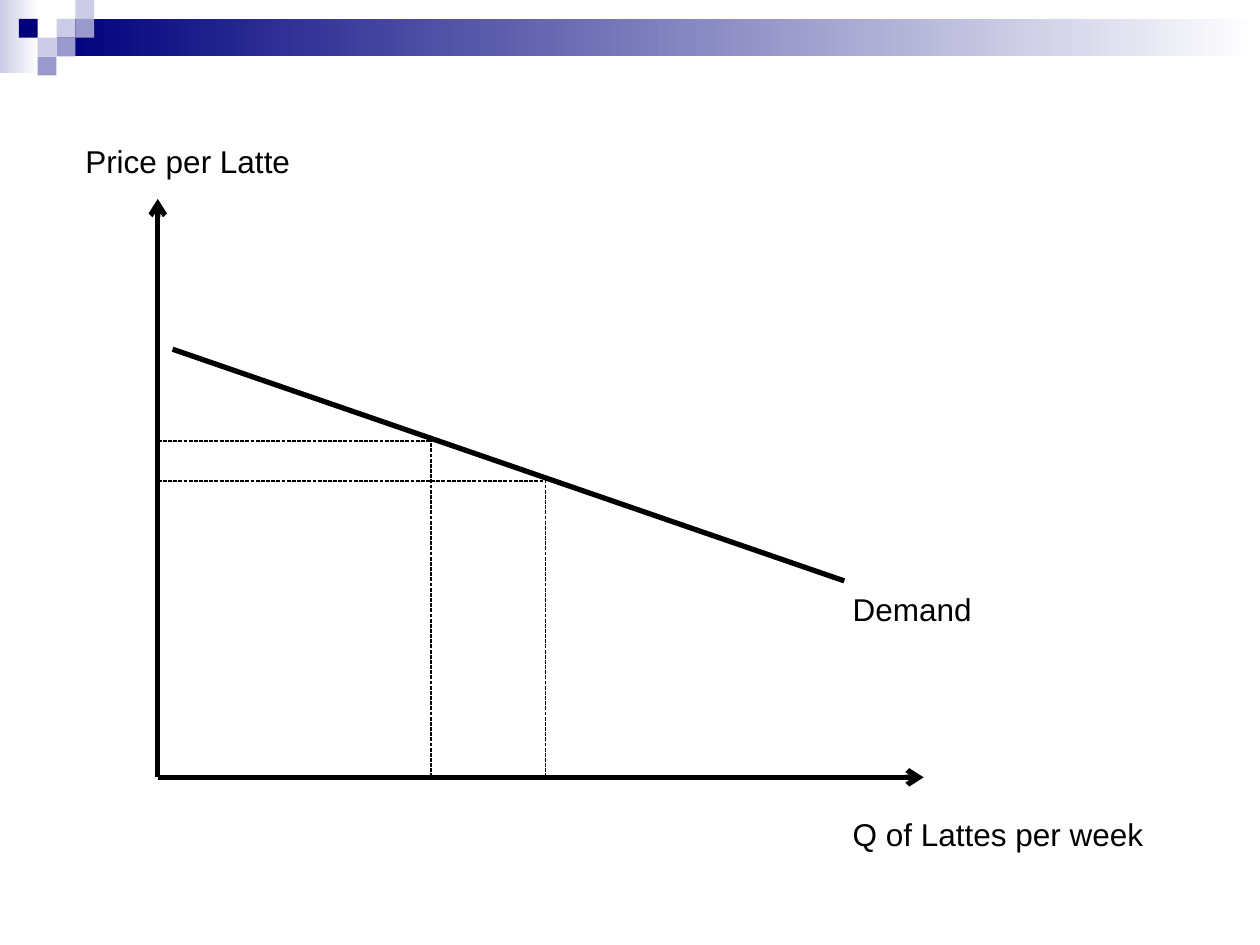
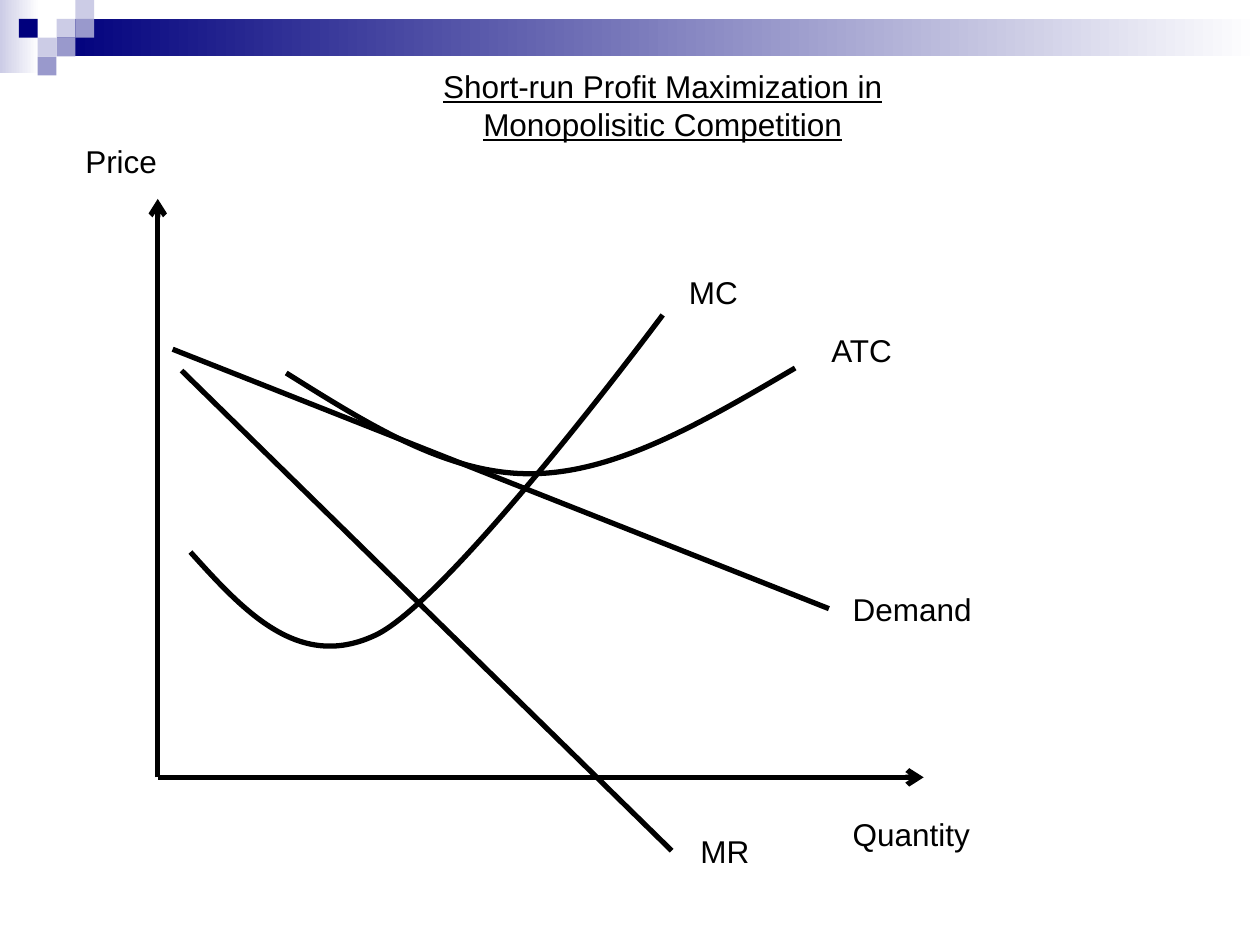
from lxml import etree
from pptx import Presentation
from pptx.dml.color import RGBColor
from pptx.enum.dml import MSO_LINE
from pptx.enum.shapes import MSO_CONNECTOR, MSO_SHAPE
from pptx.enum.text import MSO_ANCHOR, MSO_AUTO_SIZE, PP_ALIGN
from pptx.oxml.ns import qn
from pptx.util import Cm, Pt

RECTANGLE = MSO_SHAPE.RECTANGLE
STRAIGHT = MSO_CONNECTOR.STRAIGHT
SHORT_DASH = MSO_LINE.SQUARE_DOT
FIT_SHAPE, NO_FIT = MSO_AUTO_SIZE.SHAPE_TO_FIT_TEXT, MSO_AUTO_SIZE.NONE
TOP, CENTER = MSO_ANCHOR.TOP, PP_ALIGN.CENTER

COLORS = {
    "ink": "000000",
    "navy": "00007D",
    "periwinkle": "9999CC",
    "lavender": "CCCCE6",
    "paper": "FFFFFF",
}
RGB = {role: RGBColor.from_string(value) for role, value in COLORS.items()}
FONT, TEXT_SIZE = "Arial", Pt(18)
CURVE_WIDTH, GUIDE_WIDTH = 3, 0.75
TILE = 0.38
LABEL_HEIGHT = 1.02
ORIGIN_X, ORIGIN_Y = 3.18, 15.67
PRICE_AXIS_TOP, QUANTITY_AXIS_END = 4.01, 18.62


def add_line(slide, start, end, width=CURVE_WIDTH, dash=None, arrow=False):
    connector = slide.shapes.add_connector(
        STRAIGHT, *[Cm(value) for value in (*start, *end)])
    connector.line.color.rgb = RGB["ink"]
    connector.line.width = Pt(width)
    if dash:
        connector.line.dash_style = dash
    if arrow:
        etree.SubElement(connector.line._get_or_add_ln(), qn("a:tailEnd"), type="arrow")
    etree.SubElement(connector.element.spPr, qn("a:effectLst"))


def add_label(slide, text, left, top, width):
    label = slide.shapes.add_textbox(Cm(left), Cm(top), Cm(width), Cm(LABEL_HEIGHT))
    frame = label.text_frame
    frame.text = text
    frame.word_wrap = False
    frame.auto_size = FIT_SHAPE
    font = frame.paragraphs[0].runs[0].font
    font.name, font.size, font.color.rgb = FONT, TEXT_SIZE, RGB["ink"]


prs = Presentation()
prs.slide_width, prs.slide_height = Cm(25.4), Cm(19.05)
latte_slide = prs.slides.add_slide(prs.slide_layouts.get_by_name("Blank"))
profit_slide = prs.slides.add_slide(prs.slide_layouts.get_by_name("Title Only"))

band_parts = [
    (0, 0, 0.79, 1.47, "lavender", "paper"),
    (3 * TILE, TILE, 25.4 - 3 * TILE, 2 * TILE, "navy", "paper"),
]
for column, row, color in [
    (3, 1, "lavender"), (4, 0, "lavender"), (4, 1, "periwinkle"), (2, 2, "lavender"),
    (1, 1, "navy"), (3, 2, "periwinkle"), (2, 3, "periwinkle"),
]:
    band_parts.append((column * TILE, row * TILE, TILE, TILE, color, None))

master_tree = prs.slide_master.shapes.element
for order, (left, top, width, height, color, fade) in enumerate(band_parts):
    part = latte_slide.shapes.add_shape(
        RECTANGLE, Cm(left), Cm(top), Cm(width), Cm(height))
    part.shadow.inherit = False
    part.line.fill.background()
    if fade:
        part.fill.gradient()
        part.fill.gradient_angle = 0
        for stop, position, role in zip(part.fill.gradient_stops, (0, 1), (color, fade)):
            stop.position = position
            stop.color.rgb = RGB[role]
    else:
        part.fill.solid()
        part.fill.fore_color.rgb = RGB[color]
    part.element.nvSpPr.cNvPr.set("id", str(100 + order))
    master_tree.insert(2 + order, part.element)

for slide, demand_end, price_label, quantity_label in [
    (latte_slide, (17.02, 11.71), ("Price per Latte", 4.67), ("Q of Lattes per week", 6.43)),
    (profit_slide, (16.71, 12.27), ("Price", 1.98), ("Quantity", 2.9)),
]:
    origin = (ORIGIN_X, ORIGIN_Y)
    add_line(slide, origin, (ORIGIN_X, PRICE_AXIS_TOP), arrow=True)
    add_line(slide, origin, (QUANTITY_AXIS_END, ORIGIN_Y), arrow=True)
    add_line(slide, (3.48, 7.04), demand_end)
    add_label(slide, price_label[0], 1.47, 2.74, price_label[1])
    add_label(slide, quantity_label[0], 16.94, 16.31, quantity_label[1])
    add_label(slide, "Demand", 16.94, 11.76, 2.95)

for quantity, price in [(8.69, 8.89), (11, 9.7)]:
    for axis_point in [(ORIGIN_X, price), (quantity, ORIGIN_Y)]:
        add_line(latte_slide, axis_point, (quantity, price), GUIDE_WIDTH, SHORT_DASH)

title = profit_slide.shapes.title
title.left, title.top, title.width, title.height = Cm(7.01), Cm(1.22), Cm(12.7), Cm(1.8)
title_frame = title.text_frame
title_frame.text = "Short-run Profit Maximization in Monopolisitic Competition"
title_frame.word_wrap = True
title_frame.auto_size = NO_FIT
title_frame.vertical_anchor = TOP
title_frame.paragraphs[0].alignment = CENTER
title_font = title_frame.paragraphs[0].runs[0].font
title_font.name, title_font.size, title_font.underline = FONT, TEXT_SIZE, True
title_font.color.rgb = RGB["ink"]

add_line(profit_slide, (3.66, 7.47), (13.54, 17.15))
add_label(profit_slide, "MR", 13.87, 16.64, 1.5)
add_label(profit_slide, "MC", 13.64, 5.38, 1.5)
add_label(profit_slide, "ATC", 16.51, 6.55, 1.75)

marginal_cost = [(3.84, 11.13), (4.93, 12.34), (6.05, 13.56), (7.62, 12.78),
                 (9.19, 11.96), (13.36, 6.35), (13.36, 6.35)]
average_cost = [(5.77, 7.52), (7.39, 8.53), (9.02, 9.58), (10.74, 9.55),
                (12.45, 9.53), (14.22, 8.48), (16.03, 7.42)]
for control_points, height in [(marginal_cost, 6.65), (average_cost, 2.13)]:
    points = [(Cm(x), Cm(y)) for x, y in control_points]
    builder = profit_slide.shapes.build_freeform(*points[0])
    builder.add_line_segments(points[1:], close=False)
    curve = builder.convert_to_shape()
    curve.shadow.inherit = False
    curve.fill.background()
    curve.line.color.rgb = RGB["ink"]
    curve.line.width = Pt(CURVE_WIDTH)
    outline = curve.element.find(".//" + qn("a:path"))
    segments = outline.findall(qn("a:lnTo"))
    for first in range(0, len(segments), 3):
        bezier = etree.SubElement(outline, qn("a:cubicBezTo"))
        for segment in segments[first:first + 3]:
            bezier.append(segment[0])
            outline.remove(segment)
    curve.height = Cm(height)
    outline.set("h", str(curve.height))

prs.save("out.pptx")
